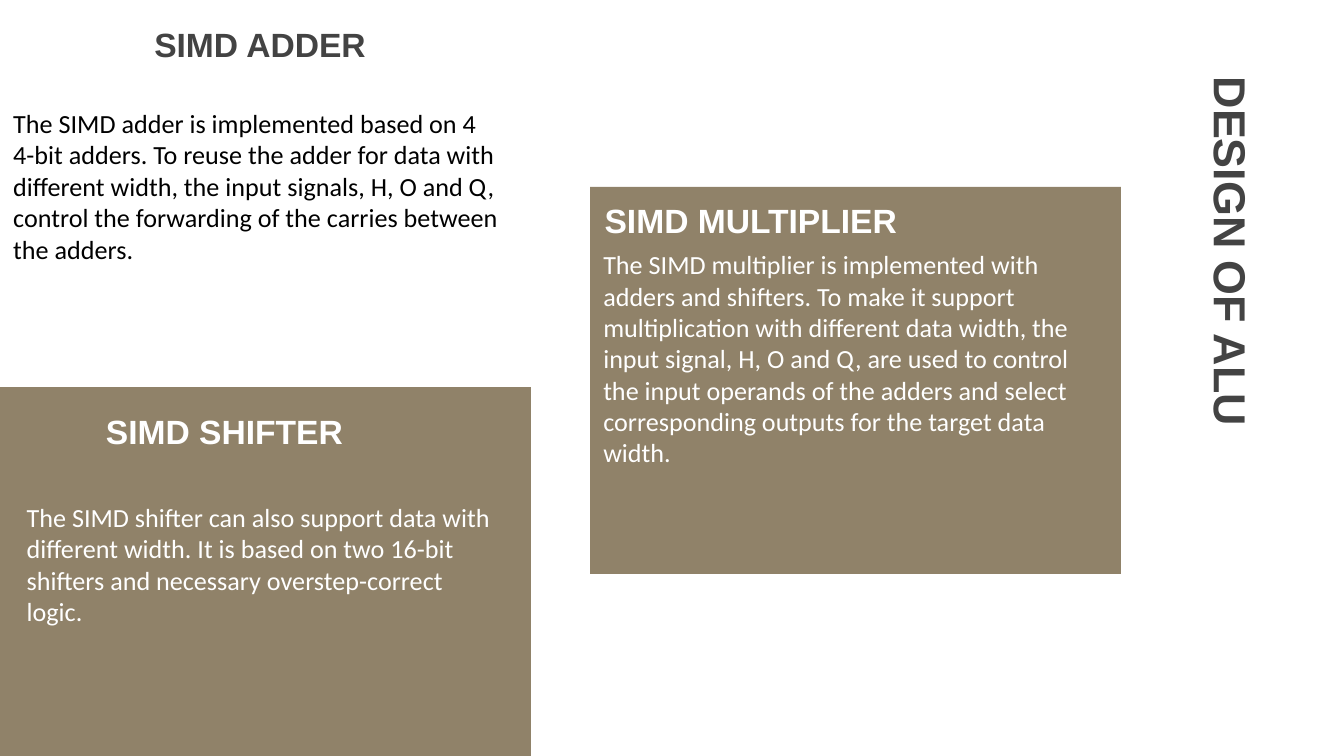
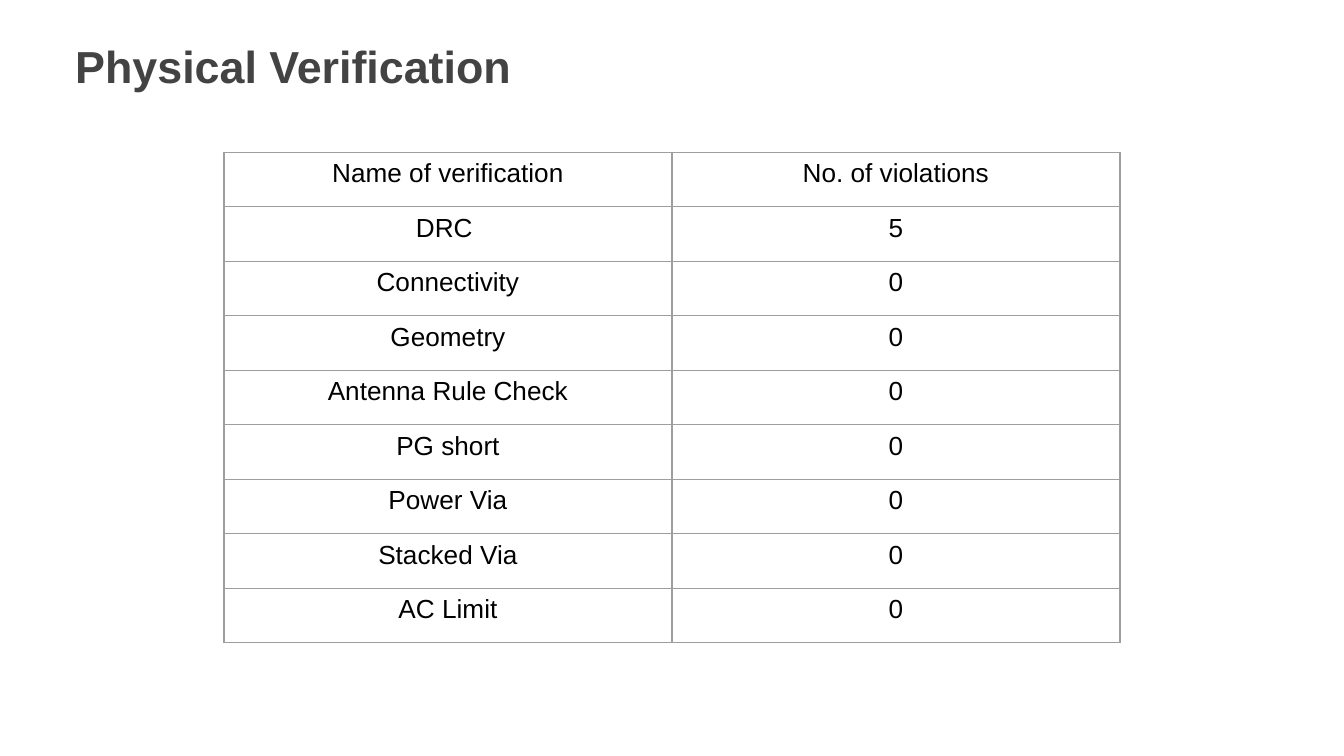
"""Build two slides: the ALU design and the physical verification results."""
from lxml import etree
from pptx import Presentation
from pptx.dml.color import RGBColor
from pptx.enum.shapes import MSO_SHAPE
from pptx.enum.text import MSO_ANCHOR, MSO_AUTO_SIZE, PP_ALIGN
from pptx.oxml.ns import qn
from pptx.util import Pt

RECT = MSO_SHAPE.RECTANGLE
TOP, MIDDLE, BOTTOM = MSO_ANCHOR.TOP, MSO_ANCHOR.MIDDLE, MSO_ANCHOR.BOTTOM
LEFT, CENTER = PP_ALIGN.LEFT, PP_ALIGN.CENTER
NO_FIT = MSO_AUTO_SIZE.NONE

DARK, WHITE, BLACK, BROWN, GRAY = "434343", "FFFFFF", "000000", "908269", "9E9E9E"
HEADING, BODY = "Arial", "Calibri"
INSET = 7.2

DESIGN_TITLE = ("DESIGN OF ALU", (538.6, 117.4, 242.6, 75.6), 90)
VERIFICATION_TITLE = ("Physical Verification", (33.1, 17.3, 298.8, 35.3), 0)

PANELS = [(316.1, 100.1, 284.4, 207.4), (0, 207.4, 284.4, 197.6)]

UNITS = [
    {"name": "SIMD MULTIPLIER", "name_box": (316.8, 85, 212.4, 51.1),
     "name_color": WHITE, "align": LEFT,
     "text": "The SIMD multiplier is implemented with adders and shifters. "
             "To make it support multiplication with different data width, "
             "the input signal, H, O and Q, are used to control the input "
             "operands of the adders and select corresponding outputs for "
             "the target data width.",
     "text_box": (316.1, 126, 281.5, 162.7), "text_color": WHITE, "inset": INSET},
    {"name": "SIMD SHIFTER", "name_box": (49.7, 198, 226.1, 51.1),
     "name_color": WHITE, "align": LEFT,
     "text": "The SIMD shifter can also support data with different width. "
             "It is based on two 16-bit shifters and necessary "
             "overstep-correct logic.",
     "text_box": (7.2, 261.4, 269.3, 133.9), "text_color": WHITE, "inset": INSET},
    {"name": "SIMD ADDER ", "name_box": (28.8, -9.4, 226.1, 51.1),
     "name_color": DARK, "align": CENTER,
     "text": "The SIMD adder is implemented based on 4 4-bit adders. "
             "To reuse the adder for data with different width, the input "
             "signals, H, O and Q, control the forwarding of the carries "
             "between the adders.",
     "text_box": (0, 54, 276.5, 92.2), "text_color": BLACK, "inset": INSET / 2},
]

VIOLATIONS = [
    ("Name of verification", "No. of violations"),
    ("DRC ", "5"),
    ("Connectivity", "0"),
    ("Geometry", "0"),
    ("Antenna Rule Check", "0"),
    ("PG short", "0"),
    ("Power Via", "0"),
    ("Stacked Via", "0"),
    ("AC Limit", "0"),
]
TABLE_LEFT, TABLE_TOP, COL_WIDTH, ROW_HEIGHT = 120, 81.6, 240, 29.2


def rgb(color):
    """Turn a hex string into a colour."""
    return RGBColor.from_string(color)


def points(box):
    """Turn a tuple of numbers into lengths in points."""
    return [Pt(v) for v in box]


def write(tf, text, size=14, font=BODY, color=BLACK, bold=False, align=LEFT,
          anchor=TOP, inset=INSET):
    """Put one formatted paragraph into a text frame."""
    tf.word_wrap = True
    tf.auto_size = NO_FIT
    tf.vertical_anchor = anchor
    tf.margin_left = tf.margin_right = Pt(INSET)
    tf.margin_top = tf.margin_bottom = Pt(inset)
    p = tf.paragraphs[0]
    p.alignment = align
    r = p.add_run()
    r.text = text
    r.font.size, r.font.name, r.font.bold = Pt(size), font, bold
    r.font.color.rgb = rgb(color)


def add_text(s, box, text, **fmt):
    """Add a text box."""
    write(s.shapes.add_textbox(*points(box)).text_frame, text, **fmt)


def add_slide(prs, text, box, rotation):
    """Add a title-only slide and place its title."""
    s = prs.slides.add_slide(prs.slide_layouts[5])
    title = s.shapes.title
    title.left, title.top, title.width, title.height = points(box)
    title.rotation = rotation
    write(title.text_frame, text, size=24, font=HEADING, color=DARK, bold=True,
          anchor=MIDDLE)
    return s


def add_panel(s, box):
    """Add a brown rectangle."""
    sp = s.shapes.add_shape(RECT, *points(box))
    sp.shadow.inherit = False
    sp.fill.solid()
    sp.fill.fore_color.rgb = rgb(BROWN)
    sp.line.fill.background()


def add_borders(cell):
    """Draw a thin gray line on each side of a cell."""
    tc_pr = cell._tc.get_or_add_tcPr()
    for side in ("lnL", "lnR", "lnT", "lnB"):
        ln = etree.SubElement(tc_pr, qn(f"a:{side}"), w=str(Pt(0.75)))
        fill = etree.SubElement(ln, qn("a:solidFill"))
        etree.SubElement(fill, qn("a:srgbClr"), val=GRAY)


def add_violations(s):
    """Add the table of verification results."""
    rows, cols = len(VIOLATIONS), len(VIOLATIONS[0])
    box = TABLE_LEFT, TABLE_TOP, cols * COL_WIDTH, rows * ROW_HEIGHT
    table = s.shapes.add_table(rows, cols, *points(box)).table
    table.first_row = table.horz_banding = False
    for row, values in zip(table.rows, VIOLATIONS):
        row.height = Pt(ROW_HEIGHT)
        for cell, value in zip(row.cells, values):
            add_borders(cell)
            cell.fill.background()
            p = cell.text_frame.paragraphs[0]
            p.alignment = CENTER
            r = p.add_run()
            r.text = value
            r.font.size, r.font.name = Pt(14), HEADING
            r.font.color.rgb = rgb(BLACK)


def main():
    """Build and save the presentation."""
    prs = Presentation()
    prs.slide_width, prs.slide_height = Pt(720), Pt(405)

    s = add_slide(prs, *DESIGN_TITLE)
    for box in PANELS:
        add_panel(s, box)
    for unit in UNITS:
        add_text(s, unit["text_box"], unit["text"], color=unit["text_color"],
                 inset=unit["inset"])
        add_text(s, unit["name_box"], unit["name"], size=18, font=HEADING,
                 color=unit["name_color"], bold=True, align=unit["align"],
                 anchor=BOTTOM)

    s = add_slide(prs, *VERIFICATION_TITLE)
    add_violations(s)
    prs.save("out.pptx")


if __name__ == "__main__":
    main()
